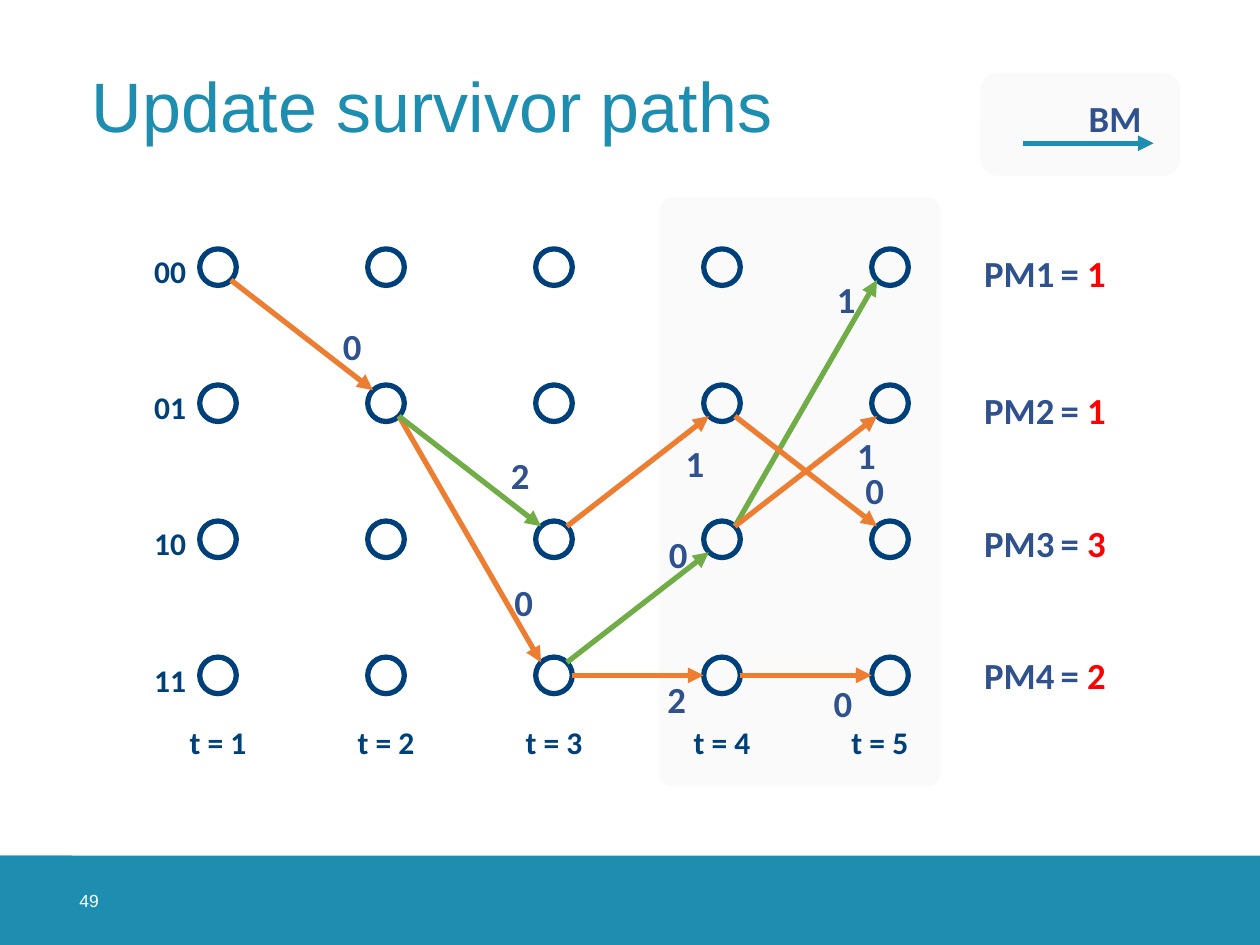
from lxml import etree
from pptx import Presentation
from pptx.dml.color import RGBColor
from pptx.enum.shapes import MSO_CONNECTOR, MSO_SHAPE
from pptx.enum.text import MSO_ANCHOR, PP_ALIGN
from pptx.oxml.ns import qn
from pptx.util import Inches, Pt

RECT, ROUND, OVAL = MSO_SHAPE.RECTANGLE, MSO_SHAPE.ROUNDED_RECTANGLE, MSO_SHAPE.OVAL
STRAIGHT = MSO_CONNECTOR.STRAIGHT
MIDDLE = MSO_ANCHOR.MIDDLE
LEFT, CENTER, RIGHT = PP_ALIGN.LEFT, PP_ALIGN.CENTER, PP_ALIGN.RIGHT

COLORS = {"teal": "1D8DB0", "navy": "00407A", "blue": "2F528F", "red": "FF0000",
          "orange": "ED7D31", "green": "70AD47", "panel": "FAFAFA", "white": "FFFFFF"}
WIDTH, HEIGHT = 10, 7.5
COL, ROW = 4 / 3, 1.08      # pitch of the trellis
LEFT_X, TOP_Y = 1.73, 2.12  # centre of the first node
NODE = 0.29
STATES = ["00", "01", "10", "11"]
TIME_COLS = [0, 1, 2, 3, 3.94]

# (column, row) of the start, row of the end one column on, colour
BRANCHES = [
    (0, 0, 1, "orange"), (1, 1, 3, "orange"), (1, 1, 2, "green"),
    (2, 2, 1, "orange"), (2, 3, 2, "green"), (2, 3, 3, "orange"),
    (3, 2, 0, "green"), (3, 2, 1, "orange"), (3, 1, 2, "orange"), (3, 3, 3, "orange"),
]
# branch metric and its centre on the trellis
METRICS = [
    ("0", 0.8, 0.58), ("0", 1.82, 2.46), ("2", 1.8, 1.53), ("2", 2.73, 3.17),
    ("0", 2.74, 2.11), ("1", 2.84, 1.44), ("1", 3.74, 0.23), ("0", 3.72, 3.2),
    ("1", 3.86, 1.38), ("0", 3.91, 1.64),
]
PATH_METRICS = [("1", 0.04), ("1", 1.05), ("3", 2.03), ("2", 3)]


def rgb(name):
    return RGBColor.from_string(COLORS[name])


class Trellis:
    """Draws on one slide; (col, row) are trellis positions, shares are parts of the slide."""

    def __init__(self, prs):
        self.s = prs.slides.add_slide(prs.slide_layouts[6])

    def point(self, col, row):
        return Inches(LEFT_X + col * COL), Inches(TOP_Y + row * ROW)

    def shape(self, kind, x, y, w, h, fill=None, radius=None):
        sp = self.s.shapes.add_shape(kind, x, y, w, h)
        sp.shadow.inherit = False
        sp.line.fill.background()
        if fill:
            sp.fill.solid()
            sp.fill.fore_color.rgb = rgb(fill)
        else:
            sp.fill.background()
        if radius is not None:
            sp.adjustments[0] = radius
        return sp

    def block(self, kind, x, y, w, h, fill, radius=None):
        """Filled area given in shares of the slide."""
        return self.shape(kind, Inches(x * WIDTH), Inches(y * HEIGHT),
                          Inches(w * WIDTH), Inches(h * HEIGHT), fill, radius)

    def set_text(self, sp, text, size, color, align=CENTER, font="Calibri", bold=True, inset=(0, 0)):
        tf = sp.text_frame
        tf.word_wrap = True
        tf.vertical_anchor = MIDDLE
        tf.margin_left = tf.margin_right = Inches(inset[0])
        tf.margin_top = tf.margin_bottom = Inches(inset[1])
        tf.text = text
        p = tf.paragraphs[0]
        p.alignment = align
        f = p.runs[0].font
        f.name, f.size, f.bold = font, Pt(size), bold
        f.color.rgb = rgb(color)
        return p

    def label(self, text, col, row, w=0.33, h=0.33, size=21, color="blue", align=CENTER):
        """Bold label centred on a trellis position."""
        x, y = self.point(col, row)
        sp = self.shape(ROUND, x - Inches(w / 2), y - Inches(h / 2), Inches(w), Inches(h), radius=0.07)
        self.set_text(sp, text, size, color, align)
        return sp

    def text(self, text, x, y, w, h, size, color, inset=(0, 0)):
        """Plain text box given in shares of the slide."""
        sp = self.s.shapes.add_textbox(Inches(x * WIDTH), Inches(y * HEIGHT),
                                       Inches(w * WIDTH), Inches(h * HEIGHT))
        return self.set_text(sp, text, size, color, LEFT, "Arial", False, inset)

    def node(self, col, row):
        x, y = self.point(col, row)
        d = Inches(NODE)
        sp = self.shape(OVAL, x - d // 2, y - d // 2, d, d)
        sp.line.color.rgb = rgb("navy")
        sp.line.width = Pt(3)

    def arrow(self, start, end, color):
        c = self.s.shapes.add_connector(STRAIGHT, *self.point(*start), *self.point(*end))
        c.line.color.rgb = rgb(color)
        c.line.width = Pt(3)
        props = c.element.spPr
        etree.SubElement(props.find(qn("a:ln")), qn("a:tailEnd"), type="triangle")
        etree.SubElement(props, qn("a:effectLst"))
        return c

    def branch(self, col, row, end_row, color):
        """Arrow to the next column, from rim to rim: at 45 degrees, or level."""
        turn = (end_row > row) - (end_row < row)
        reach = NODE / 2 * (0.71 if turn else 1)
        dx, dy = reach / COL, turn * reach / ROW
        self.arrow((col + dx, row + dy), (col + 1 - dx, end_row - dy), color)


def main():
    prs = Presentation()
    prs.slide_width, prs.slide_height = Inches(WIDTH), Inches(HEIGHT)
    t = Trellis(prs)

    footer_y = 6.79 / HEIGHT
    t.block(RECT, 0, footer_y, 1, 1 - footer_y, "teal")
    t.block(RECT, 0, footer_y, 0.057, 1 - footer_y, "teal")
    t.text("49", 0.063, footer_y, 0.071, 1 - footer_y, 10, "white")
    title = t.text("Update survivor paths", 0.063, 0.032, 0.874, 0.168, 40, "teal", (0.1, 0.05))
    title.line_spacing = 0.9

    t.block(ROUND, 0.523, 0.209, 0.224, 0.623, "panel", 0.05)
    for row, state in enumerate(STATES):
        t.label(state, -0.39, row + 0.03, 0.55, 0.4, 18, "navy", RIGHT)
        for col in range(len(TIME_COLS)):
            t.node(col, row)
    for i, col in enumerate(TIME_COLS, 1):
        t.label(f"t = {i}", col, 3.49, 0.55, 0.4, 18, "navy")

    for branch in BRANCHES:
        t.branch(*branch)
    for metric in METRICS:
        t.label(*metric)
    for i, (value, row) in enumerate(PATH_METRICS, 1):
        t.label(f"PM{i}", 4.77, row, 1.03)
        t.label("=", 5.07, row, 1.03)
        t.label(value, 5.23, row, 1.03, color="red")

    legend = [t.block(ROUND, 0.778, 0.077, 0.159, 0.109, "panel", 0.17),
              t.arrow((4.79, -0.91), (5.57, -0.91), "teal"),
              t.label("BM", 5.34, -1.1, 0.51, 0.34)]
    t.s.shapes.add_group_shape(legend)

    prs.save("out.pptx")


if __name__ == "__main__":
    main()
